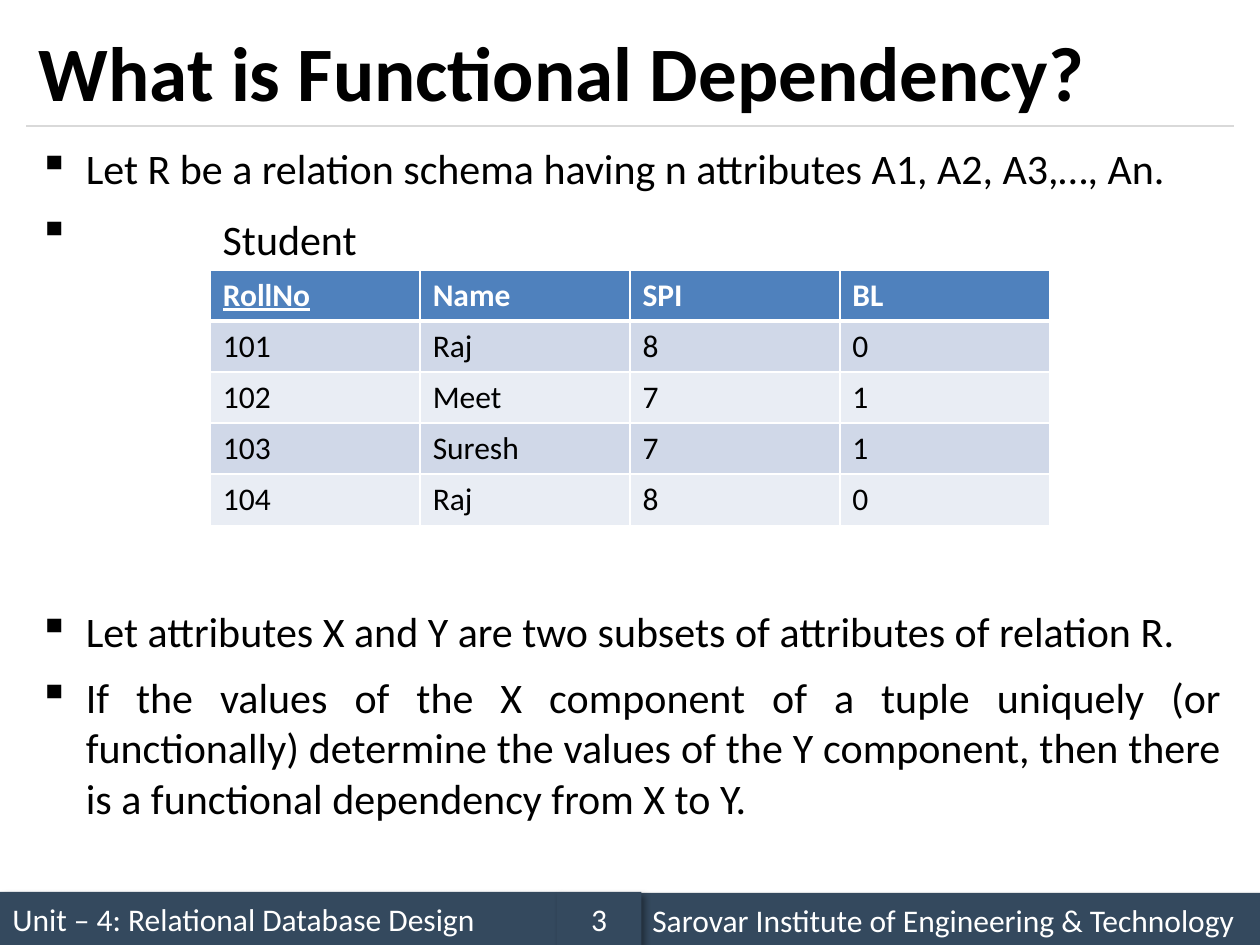
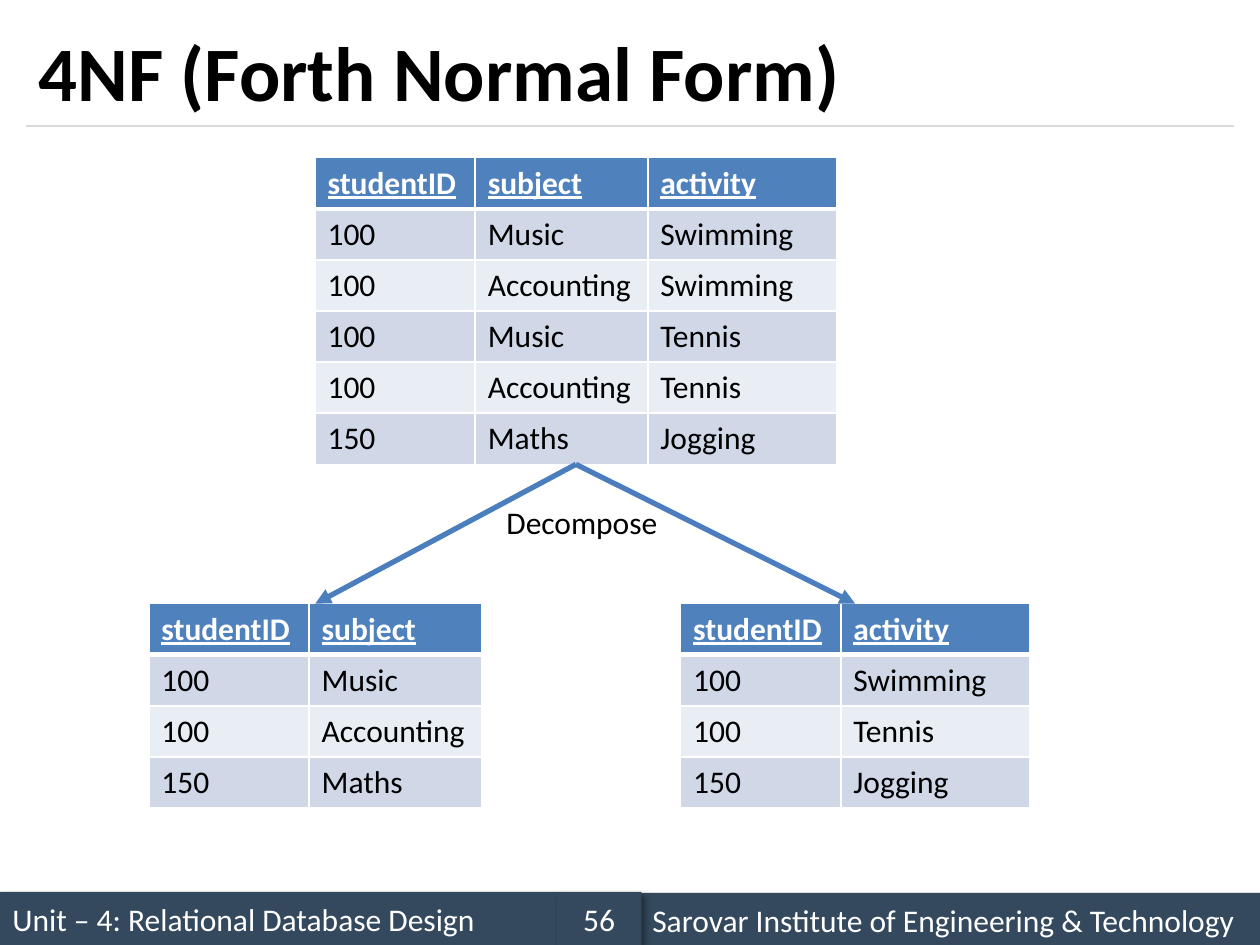
from dataclasses import dataclass

from lxml import etree
from pptx import Presentation
from pptx import util as u
from pptx.dml.color import RGBColor
from pptx.enum import shapes, text
from pptx.oxml import parse_xml
from pptx.oxml.ns import nsdecls, qn


@dataclass(frozen=True)
class Theme:
    font: str = "Calibri"
    ink: str = "000000"
    white: str = "FFFFFF"
    footer: str = "34495E"
    rule: str = "D9D9D9"
    header: str = "4F81BD"
    bands: tuple = ("D0D8E8", "E9EDF4")
    arrow: str = "4B7EBC"
    title_size: int = 44
    body_size: int = 24
    small_size: int = 18


theme = Theme()

# Content
UNIT = "Unit – 4: Relational Database Design"
INSTITUTE = "Sarovar Institute of Engineering & Technology"

# Bullet text and space before it in points; the table sits in the large gap
DEFINITION = [
    ("Let R be a relation schema having n attributes A1, A2, A3,…, An.", 9),
    (" ", 9),
    ("Let attributes X and Y are two subsets of attributes of relation R.", 198),
    ("If the values of the X component of a tuple uniquely (or functionally) "
     "determine the values of the Y component, then there is a functional "
     "dependency from X to Y.", 9),
]
STUDENTS = [
    ("RollNo", "Name", "SPI", "BL"),
    ("101", "Raj", "8", "0"),
    ("102", "Meet", "7", "1"),
    ("103", "Suresh", "7", "1"),
    ("104", "Raj", "8", "0"),
]
ENROLMENT = [
    ("studentID", "subject", "activity"),
    ("100", "Music", "Swimming"),
    ("100", "Accounting", "Swimming"),
    ("100", "Music", "Tennis"),
    ("100", "Accounting", "Tennis"),
    ("150", "Maths", "Jogging"),
]
SUBJECTS = [
    ("studentID", "subject"),
    ("100", "Music"),
    ("100", "Accounting"),
    ("150", "Maths"),
]
ACTIVITIES = [
    ("studentID", "activity"),
    ("100", "Swimming"),
    ("100", "Tennis"),
    ("150", "Jogging"),
]

# Measures in centimetres
WIDTH, HEIGHT = 25.4, 19.05
MARGIN = 0.53
CONTENT_WIDTH = WIDTH - 2 * MARGIN
ROW_HEIGHT = 1.03
HANG = 0.95
COLUMN = {"studentID": 3.23, "subject": 3.48, "activity": 3.81}
DEFAULT_COLUMN = 4.23


def cm(*lengths):
    return [u.Cm(length) for length in lengths]


def write_text(frame, content, size=theme.small_size, color=theme.ink, bold=False,
               underline=False, align=None, before=None, bullet=None, add=False):
    paragraph = frame.add_paragraph() if add else frame.paragraphs[0]
    if align is not None:
        paragraph.alignment = align
    if before is not None:
        paragraph.space_before = u.Pt(before)
    if bullet:
        properties = paragraph._p.get_or_add_pPr()
        properties.set("marL", str(u.Cm(HANG)))
        properties.set("indent", str(-u.Cm(HANG)))
        etree.SubElement(properties, qn("a:buChar")).set("char", bullet)
    run = paragraph.add_run()
    run.text = content
    font = run.font
    font.name, font.size = theme.font, u.Pt(size)
    font.bold, font.underline = bold, underline
    font.color.rgb = RGBColor.from_string(color)


def add_text_box(slide, box, anchor=text.MSO_ANCHOR.TOP):
    frame = slide.shapes.add_textbox(*cm(*box)).text_frame
    frame.word_wrap = True
    frame.vertical_anchor = anchor
    return frame


def add_line(slide, start, end, color, width, arrow=False):
    line = slide.shapes.add_connector(shapes.MSO_CONNECTOR.STRAIGHT, *cm(*start, *end))
    line.line.color.rgb = RGBColor.from_string(color)
    line.line.width = u.Pt(width)
    if arrow:
        etree.SubElement(line.line._get_or_add_ln(), qn("a:tailEnd")).set("type", "triangle")
    etree.SubElement(line._element.spPr, qn("a:effectLst"))


def add_footer_band(slide, box, content, align=text.PP_ALIGN.LEFT):
    band = slide.shapes.add_shape(shapes.MSO_SHAPE.RECTANGLE, *cm(*box))
    band.fill.solid()
    band.fill.fore_color.rgb = RGBColor.from_string(theme.footer)
    band.line.fill.background()
    band._element.spPr.append(parse_xml(
        f'<a:effectLst {nsdecls("a")}><a:outerShdw blurRad="{u.Pt(4)}" dist="{u.Pt(3)}" '
        'dir="2700000" algn="tl" rotWithShape="0"><a:srgbClr val="000000">'
        '<a:alpha val="40000"/></a:srgbClr></a:outerShdw></a:effectLst>'))
    band.text_frame.word_wrap = True
    band.text_frame.vertical_anchor = text.MSO_ANCHOR.MIDDLE
    write_text(band.text_frame, content, color=theme.white, align=align)


def set_borders(cell, top, bottom):
    properties = cell._tc.get_or_add_tcPr()
    for side, width in (("L", 1), ("R", 1), ("T", top), ("B", bottom)):
        properties.append(parse_xml(
            f'<a:ln{side} {nsdecls("a")} w="{u.Pt(width)}"><a:solidFill>'
            f'<a:srgbClr val="{theme.white}"/></a:solidFill></a:ln{side}>'))


def add_grid(slide, left, top, rows, keys):
    """Draw a banded table; return its top-centre and bottom-centre points."""
    widths = [COLUMN.get(name, DEFAULT_COLUMN) for name in rows[0]]
    width, height = sum(widths), ROW_HEIGHT * len(rows)
    table = slide.shapes.add_table(
        len(rows), len(widths), *cm(left, top, width, height)).table
    for column, column_width in zip(table.columns, widths):
        column.width = u.Cm(column_width)
    for r, row in enumerate(rows):
        table.rows[r].height = u.Cm(ROW_HEIGHT)
        header = r == 0
        fill = theme.header if header else theme.bands[(r - 1) % 2]
        for c, value in enumerate(row):
            cell = table.cell(r, c)
            set_borders(cell, top=3 if r == 1 else 1, bottom=3 if header else 1)
            cell.fill.solid()
            cell.fill.fore_color.rgb = RGBColor.from_string(fill)
            write_text(cell.text_frame, value, bold=header,
                       color=theme.white if header else theme.ink,
                       underline=header and value in keys)
    middle = left + width / 2
    return (middle, top), (middle, top + height)


def add_slide(presentation, title, number):
    slide = presentation.slides.add_slide(presentation.slide_layouts[6])
    add_footer_band(slide, (0, 17.98, 11.23, 1.07), UNIT)
    add_line(slide, (MARGIN, 2.54), (WIDTH - MARGIN, 2.54), theme.rule, 0.75)
    add_footer_band(slide, (12.9, 18, 12.5, 1.07), INSTITUTE)
    add_footer_band(slide, (11.23, 17.98, 1.7, 1.07), number, text.PP_ALIGN.CENTER)
    frame = add_text_box(slide, (MARGIN, 0.3, CONTENT_WIDTH, 2.24), text.MSO_ANCHOR.MIDDLE)
    write_text(frame, title, size=theme.title_size, bold=True)
    return slide


presentation = Presentation()
presentation.slide_width, presentation.slide_height = cm(WIDTH, HEIGHT)

# Functional dependency: bullets around the Student table
slide = add_slide(presentation, "What is Functional Dependency?", "3")
body = add_text_box(slide, (MARGIN, 2.74, CONTENT_WIDTH, 14.8))
for index, (sentence, before) in enumerate(DEFINITION):
    write_text(body, sentence, size=theme.body_size, align=text.PP_ALIGN.JUSTIFY,
               before=before, bullet="▪", add=index > 0)
add_grid(slide, 4.24, 5.44, STUDENTS, keys={"RollNo"})
write_text(add_text_box(slide, (4.24, 4.17, 3.38, 1.27)), "Student", size=theme.body_size)

# Fourth normal form: one table decomposed into two
slide = add_slide(presentation, "4NF (Forth Normal Form)", "56")
_, source = add_grid(slide, 6.35, 3.18, ENROLMENT, keys=COLUMN)
targets = [add_grid(slide, left, 12.17, rows, keys=COLUMN)[0]
           for left, rows in ((3, SUBJECTS), (13.72, ACTIVITIES))]
for target in targets:
    add_line(slide, source, target, theme.arrow, 3, arrow=True)
write_text(add_text_box(slide, (9.96, 10.01, 3.61, 1.02)), "Decompose")

presentation.save("out.pptx")
